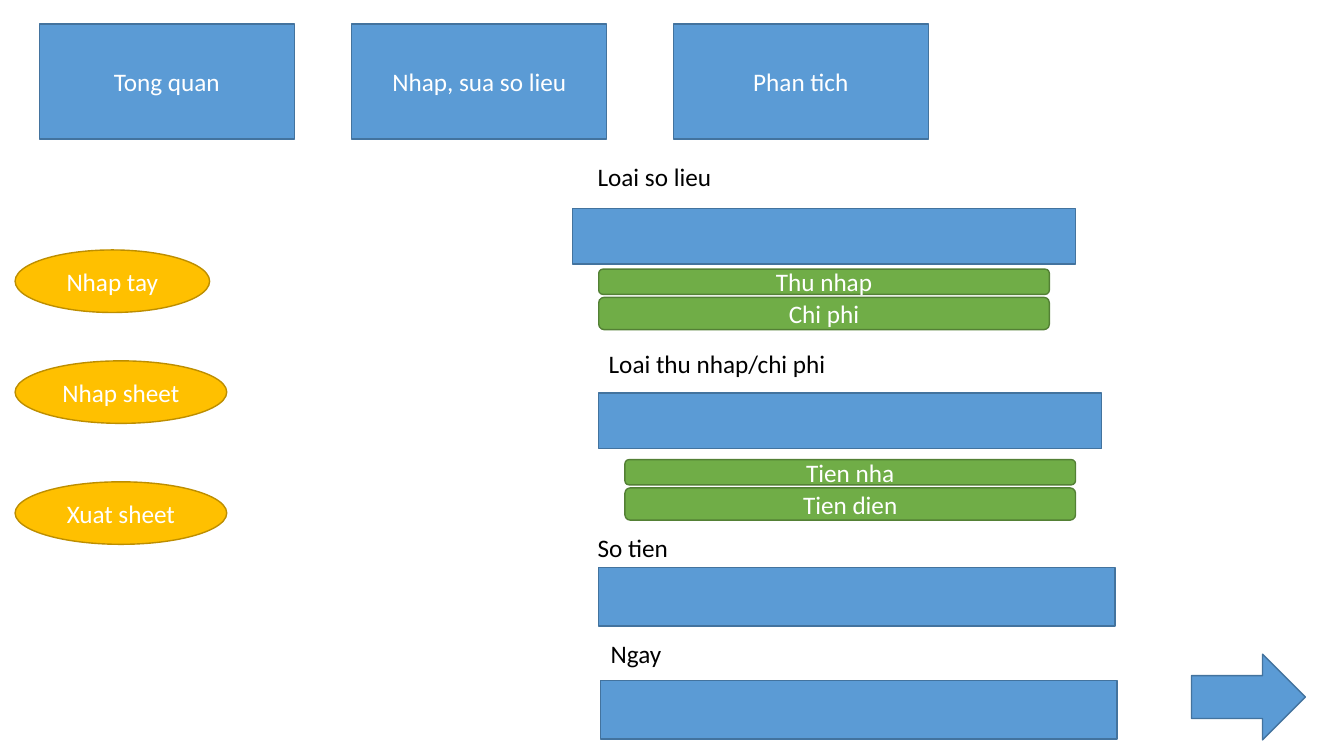
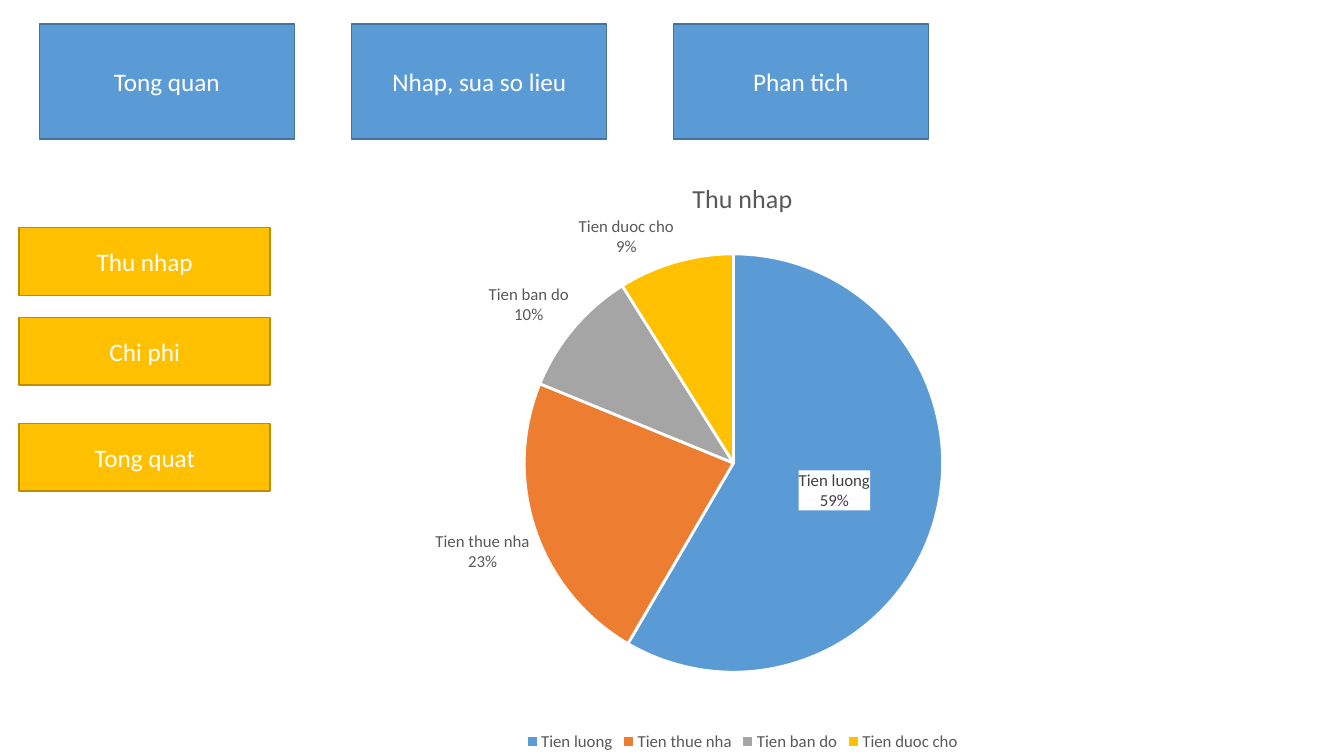
from dataclasses import dataclass

from pptx import Presentation
from pptx import util as u
from pptx.chart.data import CategoryChartData
from pptx.dml.color import RGBColor
from pptx.enum import chart as charts, shapes, text
from pptx.oxml import parse_xml
from pptx.oxml.ns import nsdecls
from pptx.slide import Slide

FONT = "Calibri"
WHITE, BLACK, GREY = "FFFFFF", "000000", "595959"
SLIDE_COLUMNS, SLIDE_ROWS = 133.33, 75
CELL = u.Inches(0.1)
RECTANGLE = shapes.MSO_SHAPE.RECTANGLE
ROUNDED = shapes.MSO_SHAPE.ROUNDED_RECTANGLE
OVAL = shapes.MSO_SHAPE.OVAL
ARROW = shapes.MSO_SHAPE.RIGHT_ARROW


@dataclass(frozen=True)
class Style:
    fill: str
    line: str


@dataclass(frozen=True)
class Area:
    column: float
    row: float
    columns: float
    rows: float

    def lengths(self) -> list[int]:
        return [round(cells * CELL) for cells in (self.column, self.row, self.columns, self.rows)]


@dataclass(frozen=True)
class Field:
    caption: str
    caption_area: Area
    box: Area
    options: tuple[str, ...] = ()
    options_row: float = 0


BLUE = Style("5B9BD5", "43739E")
GOLD = Style("FFC000", "BD8E00")
GREEN = Style("70AD47", "538035")

TABS = {"Tong quan": 3.9, "Nhap, sua so lieu": 34.9, "Phan tich": 66.8}
ENTRY_MODES = {
    "Nhap tay": Area(1.5, 24.8, 19.3, 6.2),
    "Nhap sheet": Area(1.5, 35.8, 21, 6.2),
    "Xuat sheet": Area(1.5, 47.8, 21, 6.2),
}
FIELDS = (
    Field("Loai so lieu", Area(58.3, 15.5, 33.7, 4.1), Area(56.8, 20.7, 49.9, 5.5),
          ("Thu nhap", "Chi phi"), 26.7),
    Field("Loai thu nhap/chi phi", Area(59.4, 34.1, 40, 4), Area(59.4, 39, 49.9, 5.5),
          ("Tien nha", "Tien dien"), 45.6),
    Field("So tien", Area(58.3, 52.3, 21.7, 4), Area(59.4, 56.3, 51.2, 5.8)),
    Field("Ngay", Area(59.6, 62.8, 21.7, 4), Area(59.6, 67.5, 51.2, 5.8)),
)
OPTION_INDENT, OPTION_COLUMNS = 2.6, 44.7
OPTION_ROWS, OPTION_GAP = (2.5, 3.2), 0.3
REPORTS = {"Thu nhap": 22.6, "Chi phi": 31.5, "Tong quat": 42}
INCOME = {
    "Tien luong": (59, "5B9BD5"),
    "Tien thue nha": (23, "ED7D31"),
    "Tien ban do": (10, "A5A5A5"),
    "Tien duoc cho": (9, "FFC000"),
}
PERCENT = '0"%"'


def color(value: str) -> RGBColor:
    return RGBColor.from_string(value)


def set_font(font, size: float, value: str) -> None:
    font.name = FONT
    font.size = u.Pt(size)
    font.bold = False
    font.color.rgb = color(value)


def add_box(slide: Slide, kind: shapes.MSO_SHAPE, area: Area, style: Style, label: str = "") -> None:
    shape = slide.shapes.add_shape(kind, *area.lengths())
    shape.shadow.inherit = False
    shape.fill.solid()
    shape.fill.fore_color.rgb = color(style.fill)
    shape.line.color.rgb = color(style.line)
    shape.line.width = u.Pt(1)
    if label:
        shape.text_frame.vertical_anchor = text.MSO_ANCHOR.MIDDLE
        paragraph = shape.text_frame.paragraphs[0]
        paragraph.text = label
        paragraph.alignment = text.PP_ALIGN.CENTER
        set_font(paragraph.font, 18, WHITE)


def add_caption(slide: Slide, area: Area, label: str) -> None:
    frame = slide.shapes.add_textbox(*area.lengths()).text_frame
    frame.word_wrap = True
    paragraph = frame.paragraphs[0]
    paragraph.text = label
    set_font(paragraph.font, 18, BLACK)


def add_field(slide: Slide, field: Field) -> None:
    add_caption(slide, field.caption_area, field.caption)
    add_box(slide, RECTANGLE, field.box, BLUE)
    row = field.options_row
    for option, rows in zip(field.options, OPTION_ROWS):
        area = Area(field.box.column + OPTION_INDENT, row, OPTION_COLUMNS, rows)
        add_box(slide, ROUNDED, area, GREEN, option)
        row += rows + OPTION_GAP


def add_tabbed_slide(presentation) -> Slide:
    slide = presentation.slides.add_slide(presentation.slide_layouts.get_by_name("Blank"))
    for label, column in TABS.items():
        add_box(slide, RECTANGLE, Area(column, 2.4, 25.3, 11.4), BLUE, label)
    return slide


def place_plot(chart, left: float, top: float, width: float, height: float) -> None:
    plot_area = chart.element.xpath("c:chart/c:plotArea")[0]
    for layout in plot_area.xpath("c:layout"):
        plot_area.remove(layout)
    plot_area.insert(0, parse_xml(
        f'<c:layout {nsdecls("c")}><c:manualLayout><c:layoutTarget val="inner"/>'
        '<c:xMode val="edge"/><c:yMode val="edge"/>'
        f'<c:x val="{left}"/><c:y val="{top}"/><c:w val="{width}"/><c:h val="{height}"/>'
        "</c:manualLayout></c:layout>"))


def label_slices(chart, series) -> None:
    labels = series.data_labels
    labels.show_category_name = True
    labels.show_value = True
    labels.show_percentage = False
    labels.number_format = PERCENT
    labels.number_format_is_linked = False
    labels.position = charts.XL_LABEL_POSITION.OUTSIDE_END
    set_font(labels.font, 12, GREY)

    largest = series.points[0].data_label
    set_font(largest.font, 12, "404040")
    largest.position = charts.XL_LABEL_POSITION.CENTER
    element = chart.element.xpath(".//c:dLbl")[0]
    element.xpath("c:showCatName")[0].set("val", "1")
    index = element.xpath("c:idx")[0]
    for old in element.xpath("c:spPr"):
        element.remove(old)
    index.addnext(parse_xml(
        f'<c:spPr {nsdecls("c", "a")}><a:solidFill><a:srgbClr val="{WHITE}"/></a:solidFill></c:spPr>'))
    number_format = parse_xml(f'<c:numFmt {nsdecls("c")} sourceLinked="0"/>')
    number_format.set("formatCode", PERCENT)
    index.addnext(number_format)
    for last_flag in chart.element.xpath(".//c:showBubbleSize"):
        last_flag.addnext(parse_xml(f'<c:separator {nsdecls("c")}>\n</c:separator>'))


def add_income_chart(slide: Slide, area: Area) -> None:
    data = CategoryChartData()
    data.categories = list(INCOME)
    data.add_series("Thu nhap", [value for value, _ in INCOME.values()])
    chart = slide.shapes.add_chart(charts.XL_CHART_TYPE.PIE, *area.lengths(), data).chart
    set_font(chart.font, 10, BLACK)

    chart.has_title = True
    title = chart.chart_title.text_frame.paragraphs[0]
    title.text = "Thu nhap"
    set_font(title.font, 18.6, GREY)

    chart.has_legend = True
    chart.legend.position = charts.XL_LEGEND_POSITION.BOTTOM
    chart.legend.include_in_layout = False
    set_font(chart.legend.font, 12, GREY)

    chart.plots[0].vary_by_categories = True
    series = chart.plots[0].series[0]
    for index, (_, fill) in enumerate(INCOME.values()):
        wedge = series.points[index].format
        wedge.fill.solid()
        wedge.fill.fore_color.rgb = color(fill)
        wedge.line.color.rgb = color(WHITE)
        wedge.line.width = u.Pt(2)
    label_slices(chart, series)
    place_plot(chart, 0.07, 0.16, 0.84, 0.7)


def build_entry_slide(presentation) -> None:
    slide = add_tabbed_slide(presentation)
    for label, area in ENTRY_MODES.items():
        add_box(slide, OVAL, area, GOLD, label)
    for field in FIELDS:
        add_field(slide, field)
    add_box(slide, ARROW, Area(118.2, 64.9, 11.3, 8.5), BLUE)


def build_analysis_slide(presentation) -> None:
    slide = add_tabbed_slide(presentation)
    for label, row in REPORTS.items():
        add_box(slide, RECTANGLE, Area(1.9, row, 24.9, 6.7), GOLD, label)
    add_income_chart(slide, Area(29.2, 15.7, 88.9, 59.3))


def main() -> None:
    presentation = Presentation()
    presentation.slide_width = round(SLIDE_COLUMNS * CELL)
    presentation.slide_height = SLIDE_ROWS * CELL
    build_entry_slide(presentation)
    build_analysis_slide(presentation)
    presentation.save("out.pptx")


if __name__ == "__main__":
    main()
